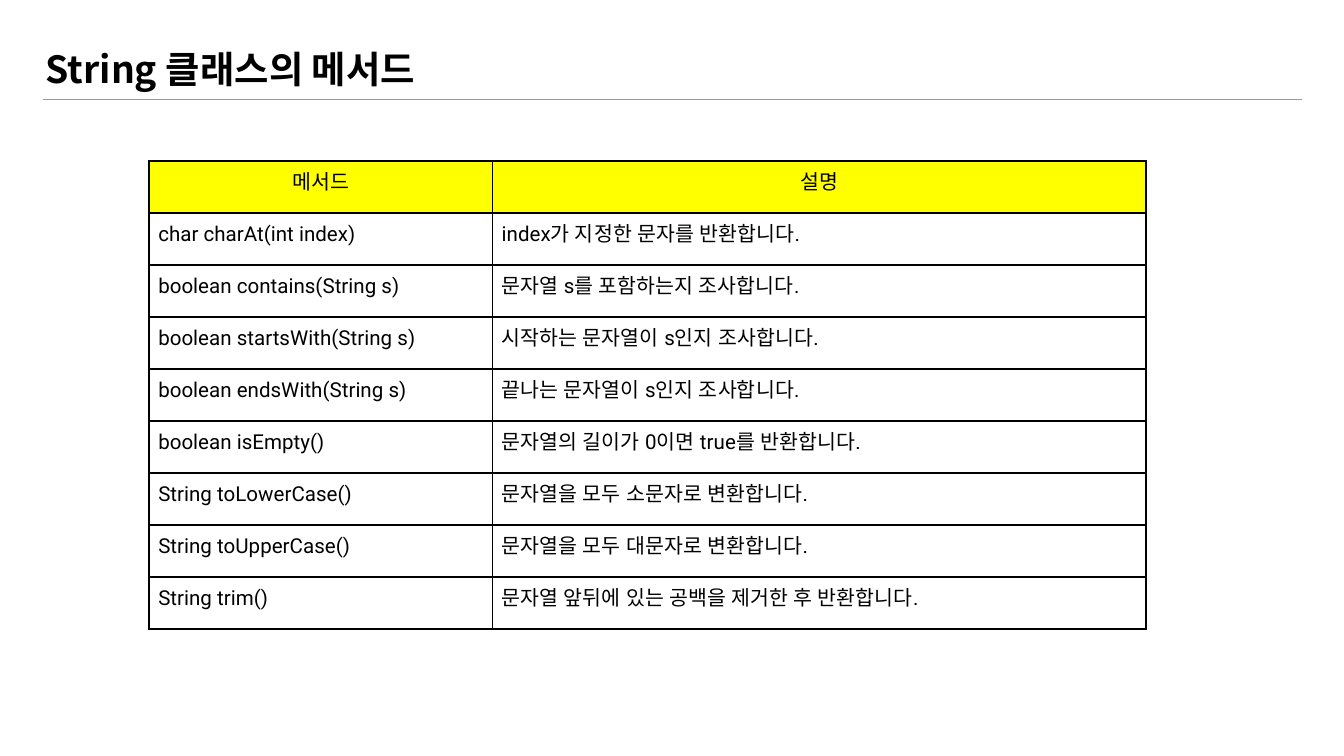
from typing import NamedTuple

from lxml.etree import SubElement
from pptx import Presentation
from pptx.dml.color import RGBColor
from pptx.enum.shapes import MSO_CONNECTOR as CONN
from pptx.enum.text import MSO_ANCHOR as ANCHOR, PP_ALIGN as ALIGN
from pptx.oxml.ns import qn
from pptx.util import Pt

TITLE_FONT = "Noto Sans CJK KR"
TABLE_FONT = "Roboto"
BLACK, GREY, YELLOW = "000000", "999999", "FFFF00"
COL_WIDTHS = (184, 350)
ROW_HEIGHT = 27.86
CELL_INSET = 5
TITLE_INSET = 7.2


class Method(NamedTuple):
    signature: str
    description: str


HEADER = Method("메서드", "설명")
METHODS = [
    Method("char charAt(int index)", "index가 지정한 문자를 반환합니다."),
    Method("boolean contains(String s)", "문자열 s를 포함하는지 조사합니다."),
    Method("boolean startsWith(String s)", "시작하는 문자열이 s인지 조사합니다."),
    Method("boolean endsWith(String s)", "끝나는 문자열이 s인지 조사합니다."),
    Method("boolean isEmpty()", "문자열의 길이가 0이면 true를 반환합니다."),
    Method("String toLowerCase()", "문자열을 모두 소문자로 변환합니다."),
    Method("String toUpperCase()", "문자열을 모두 대문자로 변환합니다."),
    Method("String trim()", "문자열 앞뒤에 있는 공백을 제거한 후 반환합니다."),
]


def rgb(value: str) -> RGBColor:
    return RGBColor.from_string(value)


def set_insets(obj, inset: float) -> None:
    obj.margin_left = obj.margin_right = Pt(inset)
    obj.margin_top = obj.margin_bottom = Pt(inset)


def add_text(p, text: str, font: str, size: float, bold: bool = False) -> None:
    r = p.add_run()
    r.text = text
    r.font.name = font
    r.font.size = Pt(size)
    r.font.bold = bold
    r.font.color.rgb = rgb(BLACK)
    SubElement(r.font._element, qn("a:ea"), typeface=font)


def add_title(s, text: str) -> None:
    tf = s.shapes.add_textbox(Pt(17.3), Pt(17.3), Pt(592), Pt(38.9)).text_frame
    tf.word_wrap = True
    tf.vertical_anchor = ANCHOR.MIDDLE
    set_insets(tf, TITLE_INSET)
    add_text(tf.paragraphs[0], text, TITLE_FONT, 20, bold=True)


def add_rule(s) -> None:
    sp = s.shapes.add_connector(CONN.STRAIGHT, Pt(23), Pt(53.3), Pt(697.5), Pt(53.3))
    sp.line.color.rgb = rgb(GREY)
    sp.line.width = Pt(0.75)
    SubElement(sp._element.spPr, qn("a:effectLst"))


def add_borders(cell, color: str, width: float) -> None:
    tc_pr = cell._tc.get_or_add_tcPr()
    for side in ("lnL", "lnR", "lnT", "lnB"):
        ln = SubElement(tc_pr, qn(f"a:{side}"), w=str(Pt(width)))
        fill = SubElement(ln, qn("a:solidFill"))
        SubElement(fill, qn("a:srgbClr"), val=color)


def fill_row(cells, method: Method, is_header: bool) -> None:
    for cell, text in zip(cells, method):
        set_insets(cell, CELL_INSET)
        add_borders(cell, BLACK, 1)
        p = cell.text_frame.paragraphs[0]
        if is_header:
            cell.fill.solid()
            cell.fill.fore_color.rgb = rgb(YELLOW)
            p.alignment = ALIGN.CENTER
        else:
            cell.fill.background()
        add_text(p, text, TABLE_FONT, 11)


def add_method_table(s) -> None:
    rows = [HEADER, *METHODS]
    table = s.shapes.add_table(
        len(rows), len(COL_WIDTHS), Pt(79.8), Pt(86.4),
        Pt(sum(COL_WIDTHS)), Pt(ROW_HEIGHT * len(rows)),
    ).table
    table.first_row = table.horz_banding = False
    for column, width in zip(table.columns, COL_WIDTHS):
        column.width = Pt(width)
    for i, (row, method) in enumerate(zip(table.rows, rows)):
        row.height = Pt(ROW_HEIGHT)
        fill_row(row.cells, method, is_header=i == 0)


def main() -> None:
    prs = Presentation()
    prs.slide_width, prs.slide_height = Pt(720), Pt(405)
    s = prs.slides.add_slide(prs.slide_layouts[6])
    add_title(s, "String 클래스의 메서드")
    add_rule(s)
    add_method_table(s)
    prs.save("out.pptx")


if __name__ == "__main__":
    main()
